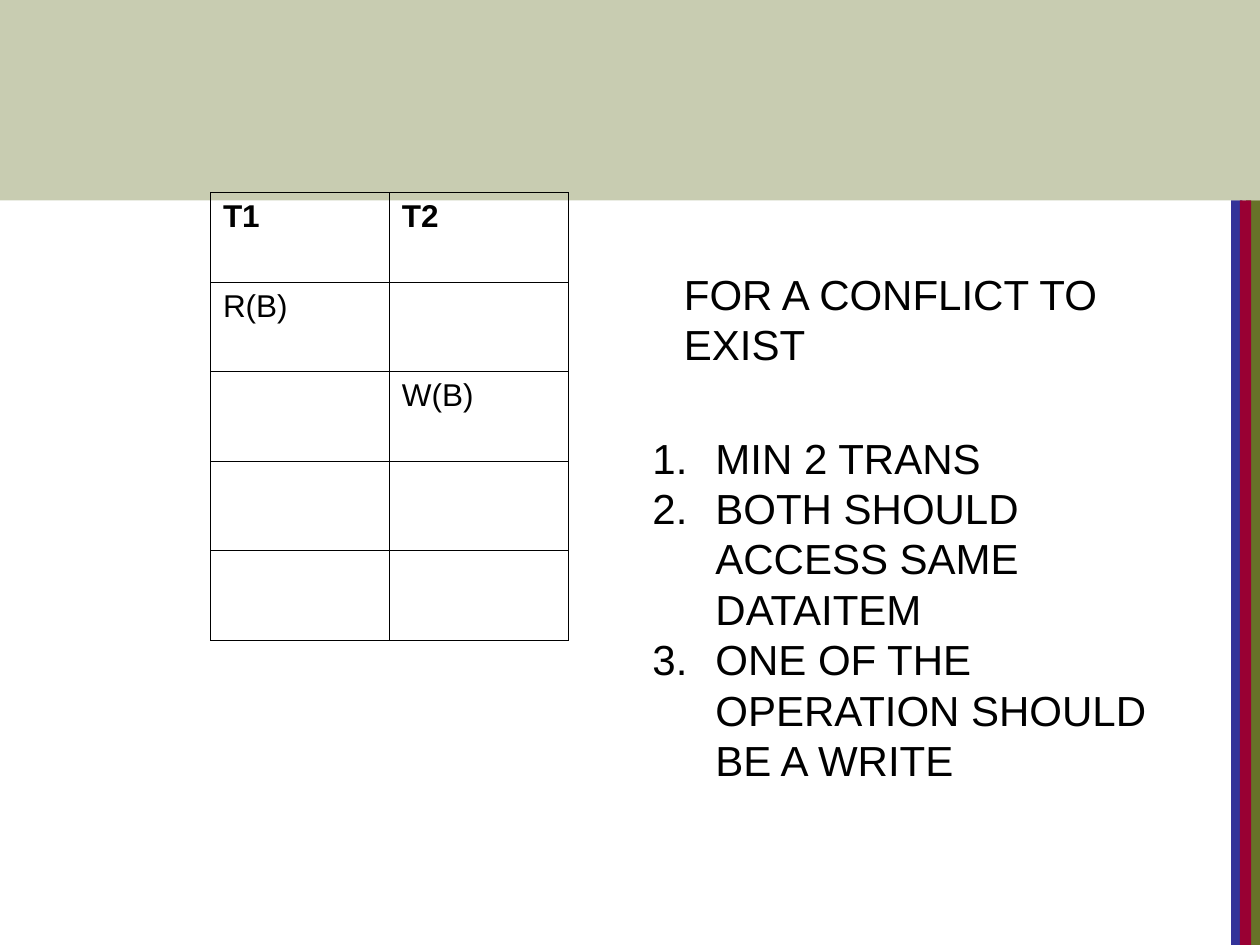
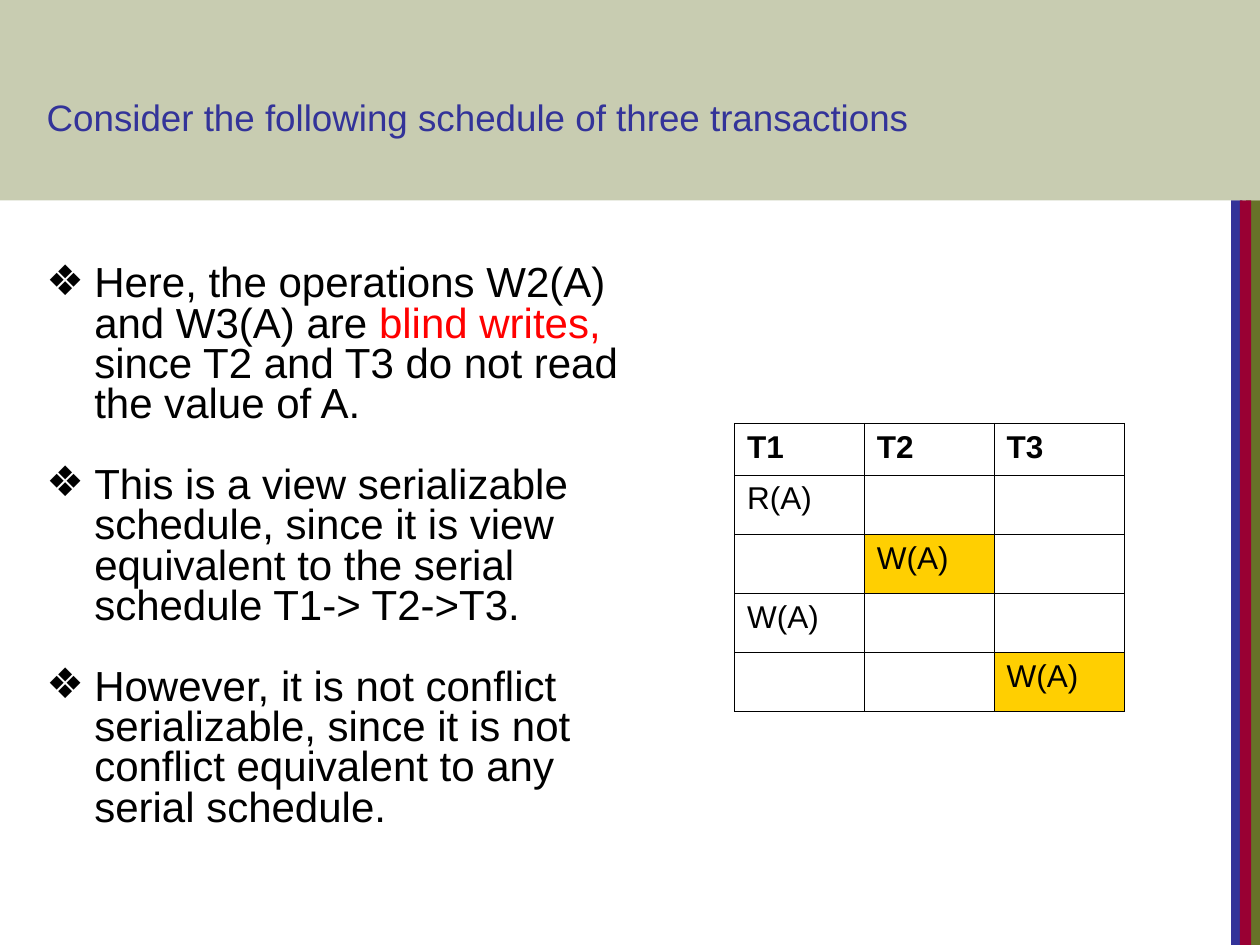
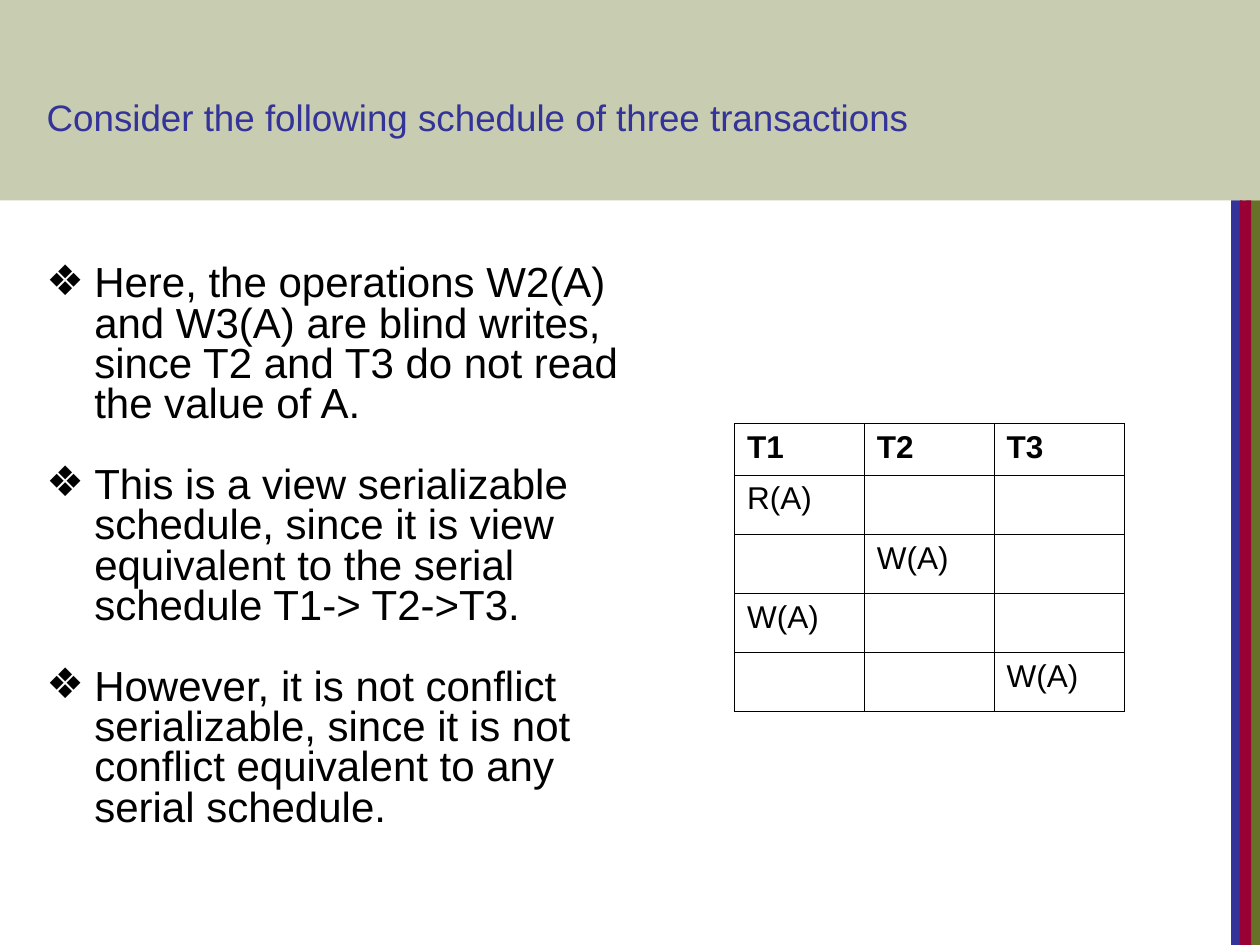
from lxml import etree
from pptx import Presentation
from pptx.dml.color import RGBColor
from pptx.enum import shapes, text
from pptx.oxml import ns
from pptx.util import Inches, Pt

BLACK = RGBColor(0x00, 0x00, 0x00)
OLIVE = RGBColor(0x67, 0x72, 0x28)
INDIGO = RGBColor(0x33, 0x33, 0x99)
CRIMSON = RGBColor(0x99, 0x00, 0x33)
RED = RGBColor(0xFF, 0x00, 0x00)
AMBER = RGBColor(0xFF, 0xCF, 0x01)
FONT = "Arial"
W, H, BAND_H = 10, 7.5, 1.59

STRIPES = [(9.89, 0.11, OLIVE), (9.77, 0.09, INDIGO), (9.84, 0.09, CRIMSON)]

CONFLICT_HEADING = "FOR A CONFLICT TO EXIST"
CONFLICT_RULES = [
    "MIN 2 TRANS",
    "BOTH SHOULD ACCESS SAME DATAITEM",
    "ONE OF THE OPERATION SHOULD BE A WRITE",
]
CONFLICT_SCHEDULE = [
    ["T1", "T2"],
    ["R(B)", ""],
    ["", "W(B)"],
    ["", ""],
    ["", ""],
]

TITLE = "Consider the following schedule of three transactions"
VIEW_POINTS = [
    ["Here, the operations W2(A) and W3(A) are ", "blind writes, ",
     "since T2 and T3 do not read the value of A."],
    ["This is a view serializable schedule, since it is view equivalent "
     "to the serial schedule T1-> T2->T3."],
    ["However, it is not conflict serializable, since it is not conflict "
     "equivalent to any serial schedule."],
]
VIEW_SCHEDULE = [
    ["T1", "T2", "T3"],
    ["R(A)", "", ""],
    ["", "W(A)", ""],
    ["W(A)", "", ""],
    ["", "", "W(A)"],
]
BLIND_WRITES = {(2, 1), (4, 2)}


def sub(parent, tag, **attrs):
    return etree.SubElement(parent, ns.qn(tag), **attrs)


def add_run(p, words, size=24, color=BLACK, bold=False):
    r = p.add_run()
    r.text = words
    r.font.name, r.font.size, r.font.bold = FONT, Pt(size), bold
    r.font.color.rgb = color


def add_rect(slide, x, y, w, h, color):
    sp = slide.shapes.add_shape(shapes.MSO_SHAPE.RECTANGLE, *map(Inches, (x, y, w, h)))
    sp.shadow.inherit = False
    sp.fill.solid()
    sp.fill.fore_color.rgb = color
    sp.line.fill.background()
    return sp


def decorate_master(prs, slide):
    parts = [add_rect(slide, x, BAND_H, w, H - BAND_H, color) for x, w, color in STRIPES]
    band = add_rect(slide, 0, 0, W, BAND_H, OLIVE)
    sub(band._element.spPr.find(".//" + ns.qn("a:srgbClr")), "a:alpha", val="36000")
    tree = prs.slide_master.shapes._spTree
    for i, sp in enumerate(parts + [band]):
        sp._element.nvSpPr.cNvPr.set("id", str(100 + i))
        tree.insert(2 + i, sp._element)


def add_text(slide, x, y, w, h, paragraphs, marker=None, indent=0.0, spacing=None,
             gap=0, accent=BLACK):
    tf = slide.shapes.add_textbox(*map(Inches, (x, y, w, h))).text_frame
    tf.word_wrap = True
    tf.auto_size = text.MSO_AUTO_SIZE.SHAPE_TO_FIT_TEXT
    for i, runs in enumerate(paragraphs):
        p = tf.add_paragraph() if i else tf.paragraphs[0]
        if marker:
            pPr = p._p.get_or_add_pPr()
            pPr.set("marL", str(Inches(indent)))
            pPr.set("indent", str(-Inches(indent)))
            sub(pPr, "a:buFont", typeface=FONT)
            if marker == "1.":
                sub(pPr, "a:buAutoNum", type="arabicPeriod")
            else:
                sub(pPr, "a:buChar", char=marker)
        if spacing:
            p.line_spacing = spacing
        if i and gap:
            p.space_before = Pt(gap)
        for j, words in enumerate(runs):
            add_run(p, words, color=accent if j == 1 else BLACK)


def add_borders(cell):
    tcPr = cell._tc.get_or_add_tcPr()
    for i, side in enumerate(("a:lnL", "a:lnR", "a:lnT", "a:lnB")):
        ln = etree.Element(ns.qn(side), w=str(Pt(0.45)))
        sub(sub(ln, "a:solidFill"), "a:srgbClr", val=str(BLACK))
        tcPr.insert(i, ln)


def add_schedule(slide, x, y, col_w, head_h, row_h, rows, highlights=()):
    n_rows, n_cols = len(rows), len(rows[0])
    height = head_h + row_h * (n_rows - 1)
    table = slide.shapes.add_table(n_rows, n_cols, Inches(x), Inches(y),
                                   Inches(col_w * n_cols), Inches(height)).table
    table.first_row = table.horz_banding = False
    for col in table.columns:
        col.width = Inches(col_w)
    for i, row in enumerate(rows):
        table.rows[i].height = Inches(row_h if i else head_h)
        for j, words in enumerate(row):
            cell = table.cell(i, j)
            if (i, j) in highlights:
                cell.fill.solid()
                cell.fill.fore_color.rgb = AMBER
            else:
                cell.fill.background()
            add_borders(cell)
            if words:
                add_run(cell.text_frame.paragraphs[0], words, size=18, bold=i == 0)


def add_title(slide):
    sp = slide.shapes.title
    sp.left, sp.top, sp.width, sp.height = map(Inches, (0.27, 0.77, 9.07, 0.58))
    tf = sp.text_frame
    tf.margin_right = 0
    tf.vertical_anchor = text.MSO_ANCHOR.TOP
    tf.auto_size = text.MSO_AUTO_SIZE.NONE
    p = tf.paragraphs[0]
    p.alignment = text.PP_ALIGN.LEFT
    p.line_spacing = 0.8
    add_run(p, TITLE, size=21, color=INDIGO)


def add_conflict_slide(prs):
    slide = prs.slides.add_slide(prs.slide_layouts[6])
    decorate_master(prs, slide)
    add_schedule(slide, 1.67, 1.53, 1.42, 0.71, 0.71, CONFLICT_SCHEDULE)
    add_text(slide, 5.08, 3.38, 4.5, 2.9, [[rule] for rule in CONFLICT_RULES],
             marker="1.", indent=0.5)
    add_text(slide, 5.33, 2.08, 3.92, 0.9, [[CONFLICT_HEADING]])


def add_view_slide(prs, accent=BLACK, highlights=()):
    slide = prs.slides.add_slide(prs.slide_layouts[5])
    add_title(slide)
    add_schedule(slide, 5.83, 3.36, 1.03, 0.41, 0.47, VIEW_SCHEDULE, highlights)
    add_text(slide, 0.27, 2.06, 5, 4.58, VIEW_POINTS, marker="❖", indent=0.38,
             spacing=0.8, gap=23, accent=accent)


def main():
    prs = Presentation()
    prs.slide_width, prs.slide_height = Inches(W), Inches(H)
    add_conflict_slide(prs)
    add_view_slide(prs, accent=RED, highlights=BLIND_WRITES)
    add_view_slide(prs)
    prs.save("out.pptx")


if __name__ == "__main__":
    main()
